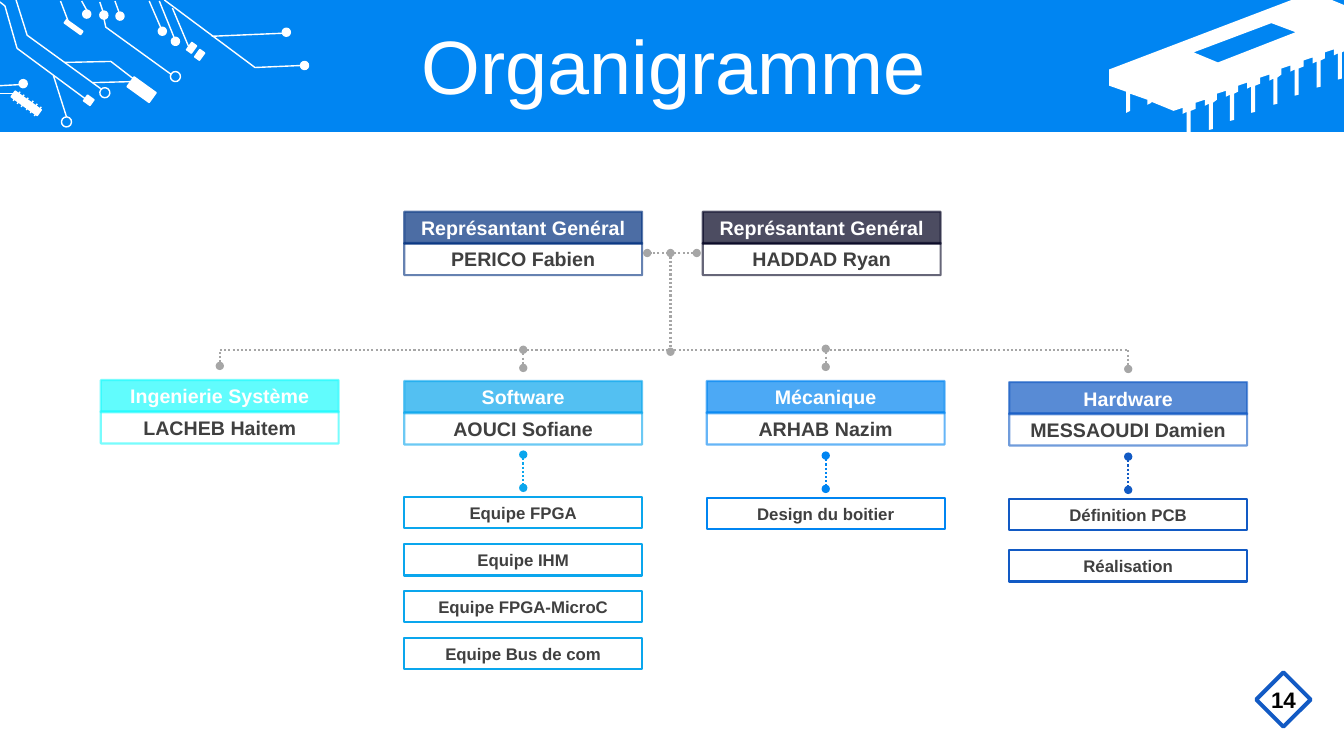
import pptx
import pptx.util
import pptx.dml.color
import pptx.enum.dml
import pptx.enum.shapes
import pptx.enum.text
import pptx.oxml.ns
import pptx.shapes.connector
import lxml.etree

PX = 9144
WHITE, GREY, BLUE, NAVY = "FFFFFF", "A6A6A6", "0085F2", "125AC4"
MSO = pptx.enum.shapes.MSO_SHAPE
STRAIGHT = pptx.enum.shapes.MSO_CONNECTOR.STRAIGHT
qn = pptx.oxml.ns.qn


def paint(fill, color, alpha=100):
    fill.solid()
    fill.fore_color.rgb = pptx.dml.color.RGBColor.from_string(color)
    if alpha < 100:
        for clr in fill._xPr.iter(qn("a:srgbClr")):
            if clr.getparent().getparent() is fill._xPr:
                lxml.etree.SubElement(clr, qn("a:alpha"), val=str(alpha * 1000))


def write(sp, text, size=14, color="404040", bold=True, spacing=1.0, inset=10):
    tf = sp.text_frame
    tf.word_wrap = True
    tf.auto_size = pptx.enum.text.MSO_AUTO_SIZE.NONE
    tf.vertical_anchor = pptx.enum.text.MSO_ANCHOR.MIDDLE
    tf.margin_left = tf.margin_right = inset * PX
    tf.margin_top = tf.margin_bottom = 5 * PX
    p = tf.paragraphs[0]
    p.alignment = pptx.enum.text.PP_ALIGN.CENTER
    p.line_spacing = spacing
    r = p.add_run()
    r.text = text
    r.font.name = "Arial"
    r.font.size = pptx.util.Pt(size)
    r.font.bold = bold
    paint(r.font.fill, color)


prs = pptx.Presentation()
prs.slide_width = pptx.util.Inches(13.33)
prs.slide_height = pptx.util.Inches(7.5)
s = prs.slides.add_slide(prs.slide_layouts[5])

band = s.shapes.add_shape(MSO.RECTANGLE, 0, 0, prs.slide_width, 131 * PX)
paint(band.fill, BLUE)
band.line.fill.background()

chip_edge = [(1281, 0), (1321, 0), (1333, 5), (1333, 51)]
leg = [(0, 0), (0, 26), (-4, 27), (-4, 1), (-8, 3), (-8, -3), (-17, 0), (-17, 6)]
for k in range(8):
    x, y = round(1331 - 21.4 * k), round(52 + 8.25 * k)
    chip_edge += [(x + dx, y + dy) for dx, dy in leg]
chip_edge.pop()
chip_edge += [(1142, 101), (1142, 102), (1138, 104), (1138, 99), (1121, 93), (1121, 110),
              (1117, 112), (1117, 91), (1100, 85), (1100, 69)]
fb = s.shapes.build_freeform(1261, 23, scale=PX)
fb.add_line_segments([(1184, 52), (1208, 62), (1285, 32)])
fb.move_to(*chip_edge[0])
fb.add_line_segments(chip_edge[1:])
chip = fb.convert_to_shape()
paint(chip.fill, WHITE)
chip.line.fill.background()

dots = [(298, 61), (280, 28), (82, 10), (99, 11), (115, 12), (19, 79), (170, 37), (157, 27)]
rings = [(169, 71), (99, 87), (61, 116)]
pads = [(127, 83, 27, 12), (63, 25, 20, 4), (84, 96, 8, 7), (187, 43, 6, 9), (195, 50, 6, 9),
        (10, 99, 32, 7)]
parts = [(MSO.OVAL, True, (x, y, 8, 8)) for x, y in dots]
parts += [(MSO.OVAL, False, (x, y, 10, 10)) for x, y in rings]
parts += [(MSO.RECTANGLE, True, box) for box in pads]
tracks = []
for kind, filled, box in parts:
    part = s.shapes.add_shape(kind, *[v * PX for v in box])
    part.rotation = 35.7
    if filled:
        paint(part.fill, WHITE)
    else:
        part.fill.background()
    tracks.append(part)

wires = [(60, 1, 68, 22), (81, 1, 86, 10), (99, 2, 102, 11), (114, 1, 118, 12),
         (148, 1, 161, 31), (158, 1, 173, 38), (210, 36, 280, 33), (171, 8, 187, 46),
         (0, 85, 19, 84), (0, 93, 14, 93), (53, 75, 66, 116), (92, 82, 130, 81)]
for k in range(6):
    x, y = round(13 + 4.2 * k), 100 + 3 * k
    wires.append((x, y, x + 7, y - 9))
for wire in wires:
    tracks.append(s.shapes.add_connector(STRAIGHT, *[v * PX for v in wire]))

bends = [[(163, 0), (253, 67), (299, 65)],
         [(16, 0), (27, 35), (100, 88)],
         [(0, 2), (5, 6), (17, 48), (86, 99)],
         [(64, 62), (110, 61), (132, 78)],
         [(103, 18), (105, 27), (170, 74)]]
for bend in bends:
    fb = s.shapes.build_freeform(*bend[0], scale=PX)
    fb.add_line_segments(bend[1:], close=False)
    track = fb.convert_to_shape()
    track.fill.background()
    tracks.append(track)
for track in tracks:
    paint(track.line.fill, WHITE)
    track.line.width = pptx.util.Pt(1)

title = s.shapes.title
title.left, title.top, title.width, title.height = [v * PX for v in (35, 30, 1266, 79)]
write(title, "Organigramme", size=54, color=WHITE, bold=False, spacing=0.9)
s.shapes.element.append(title.element)

cards = [
    (401, 210, "00307E", "Représantant Genéral", "PERICO Fabien"),
    (697, 210, "00001F", "Représantant Genéral", "HADDAD Ryan"),
    (100, 377, "1FFBFD", "Ingenierie Système", "LACHEB Haitem"),
    (401, 378, "0AA6ED", "Software", "AOUCI Sofiane"),
    (701, 378, BLUE, "Mécanique", "ARHAB Nazim"),
    (1001, 379, NAVY, "Hardware", "MESSAOUDI Damien"),
]
for x, y, color, role, person in cards:
    for top, text, ink in [(y, role, WHITE), (y + 31, person, "404040")]:
        box = s.shapes.add_shape(MSO.RECTANGLE, x * PX, top * PX, 236 * PX, 32 * PX)
        if text == role:
            paint(box.fill, color, alpha=70)
        else:
            box.fill.background()
        paint(box.line.fill, color, alpha=60)
        box.line.width = pptx.util.Pt(1.5)
        write(box, text, color=ink)

teams = [
    (401, 493, 46.7, "0AA6ED", ["Equipe FPGA", "Equipe IHM", "Equipe FPGA-MicroC",
                                "Equipe Bus de com"]),
    (701, 494, 0, BLUE, ["Design du boitier"]),
    (1001, 495, 51, NAVY, ["Définition PCB", "Réalisation"]),
]
links = [(665, 251, 665, 349, GREY), (691, 251, 642, 251, GREY),
         (519, 347, 519, 365, GREY), (819, 346, 819, 364, GREY)]
for x, y, step, color, names in teams:
    links.append((x + 118, y - 42, x + 118, y - 9, color))
    for i, name in enumerate(names):
        box = s.shapes.add_shape(MSO.RECTANGLE, x * PX, round(y + i * step) * PX,
                                 236 * PX, 31 * PX)
        box.fill.background()
        paint(box.line.fill, color)
        box.line.width = pptx.util.Pt(1.5)
        write(box, name, size=12)

fb = s.shapes.build_freeform(218, 363, scale=PX)
fb.add_line_segments([(218, 347), (1119, 347), (1119, 366)], close=False)
bracket = fb.convert_to_shape()
bracket.fill.background()
dotted = [(bracket, GREY)]
for *ends, color in links:
    dotted.append((s.shapes.add_connector(STRAIGHT, *[v * PX for v in ends]), color))
for link, color in dotted:
    paint(link.line.fill, color)
    link.line.width = pptx.util.Pt(1.5)
    link.line.dash_style = pptx.enum.dml.MSO_LINE.ROUND_DOT
    ln = link.element.spPr.find(qn("a:ln"))
    for end in ("a:headEnd", "a:tailEnd"):
        lxml.etree.SubElement(ln, qn(end), type="oval")

badge = s.shapes.add_shape(MSO.DIAMOND, 1246 * PX, 667 * PX, 54 * PX, 54 * PX)
badge.fill.background()
paint(badge.line.fill, NAVY)
badge.line.width = pptx.util.Pt(2.8)
lxml.etree.SubElement(badge.element.spPr.find(qn("a:ln")), qn("a:round"))
number = s.shapes.add_textbox(1245 * PX, 676 * PX, 56 * PX, 37 * PX)
write(number, "14", size=16, color="000000", inset=12)

for sp in s.shapes:
    if isinstance(sp, pptx.shapes.connector.Connector):
        lxml.etree.SubElement(sp.element.spPr, qn("a:effectLst"))
    else:
        sp.shadow.inherit = False

prs.save("out.pptx")
